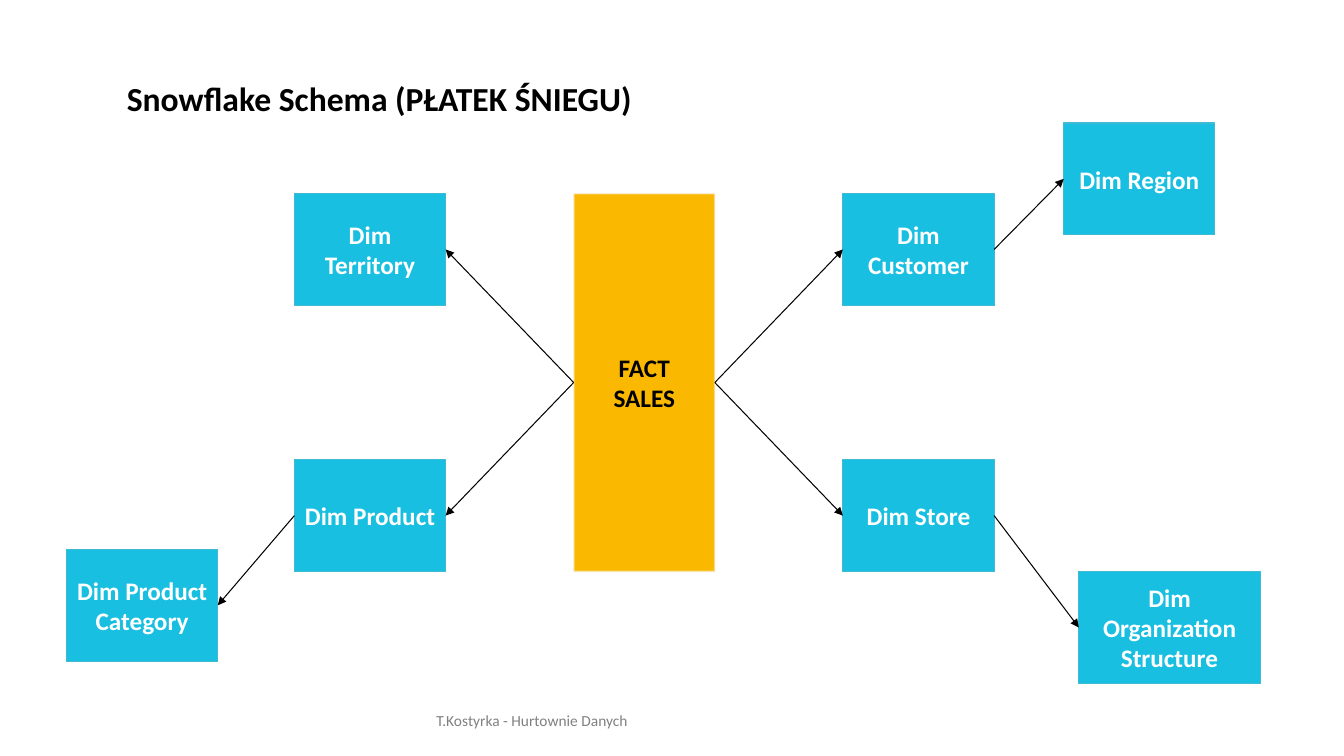
from dataclasses import dataclass

from lxml import etree
from pptx import Presentation, util as u
from pptx.dml import color
from pptx.enum import shapes, text
from pptx.oxml import ns

BLACK = color.RGBColor(0x00, 0x00, 0x00)
WHITE = color.RGBColor(0xFF, 0xFF, 0xFF)
GREY = color.RGBColor(0x80, 0x80, 0x80)
GOLD = color.RGBColor(0xFA, 0xB9, 0x00)
PALE = color.RGBColor(0xF9, 0xF9, 0xF9)
CYAN = color.RGBColor(0x19, 0xBF, 0xE0)
TEAL = color.RGBColor(0x40, 0xBA, 0xD2)

FONT = "Calibri"
CELL = u.Inches(0.1)
LEFT, RIGHT = 1, 3
WEST, MID, EAST = 29.2, 56.9, 83.6
TOP, LOW = 19.2, 45.6
WIDE, TALL = 15, 11.1


@dataclass(frozen=True)
class Box:
    label: str
    col: float
    row: float
    wide: float = WIDE
    tall: float = TALL
    kind: shapes.MSO_SHAPE = shapes.MSO_SHAPE.FLOWCHART_PROCESS
    fill: color.RGBColor = CYAN
    edge: color.RGBColor = TEAL
    width: float = 0.75
    ink: color.RGBColor = WHITE


@dataclass(frozen=True)
class Link:
    start: str
    end: str
    side: int


BOXES = {
    "fact": Box("FACT\nSALES", MID, TOP, 14, 37.5, shapes.MSO_SHAPE.RECTANGLE,
                GOLD, PALE, 1.35, BLACK),
    "client": Box("Dim Customer", EAST, TOP),
    "store": Box("Dim Store", EAST, LOW),
    "land": Box("Dim Territory", WEST, TOP),
    "goods": Box("Dim Product", WEST, LOW),
    "class": Box("Dim Product\nCategory", 6.6, 54.5),
    "region": Box("Dim Region", 105.5, 12.2),
    "staff": Box("Dim Organization Structure", 107, 56.7, 18),
}

LINKS = [
    Link("fact", "client", RIGHT),
    Link("fact", "store", RIGHT),
    Link("fact", "land", LEFT),
    Link("fact", "goods", LEFT),
    Link("client", "region", RIGHT),
    Link("goods", "class", LEFT),
    Link("store", "staff", RIGHT),
]


def grid(*cells: float) -> list[int]:
    return [round(cell * CELL) for cell in cells]


def write(shape, words: str, *, size: float, ink: color.RGBColor,
          bold: bool = False, align=text.PP_ALIGN.LEFT,
          anchor=text.MSO_ANCHOR.MIDDLE, level: int = 0,
          indent: float = 0, grow: bool = False) -> None:
    frame = shape.text_frame
    frame.text = words
    frame.word_wrap = True
    frame.vertical_anchor = anchor
    if grow:
        frame.auto_size = text.MSO_AUTO_SIZE.SHAPE_TO_FIT_TEXT
    for para in frame.paragraphs:
        para.alignment = align
        para.level = level
        for run in para.runs:
            font = run.font
            font.name, font.size, font.bold = FONT, u.Pt(size), bold
            font.color.rgb = ink
    if indent:
        for props in shape.element.iter(ns.qn("a:pPr")):
            props.set("marL", str(grid(indent)[0]))
            props.set("indent", "0")


def draw(slide, box: Box):
    shape = slide.shapes.add_shape(
        box.kind, *grid(box.col, box.row, box.wide, box.tall))
    shape.shadow.inherit = False
    shape.fill.solid()
    shape.fill.fore_color.rgb = box.fill
    shape.line.color.rgb = box.edge
    shape.line.width = u.Pt(box.width)
    write(shape, box.label, size=18, ink=box.ink, bold=True,
          align=text.PP_ALIGN.CENTER)
    return shape


def fade(shape, share: int) -> None:
    tone = shape.element.spPr.find(f"{ns.qn('a:ln')}//{ns.qn('a:srgbClr')}")
    etree.SubElement(tone, ns.qn("a:alpha")).set("val", str(share * 1000))


def join(slide, start, end, side: int) -> None:
    line = slide.shapes.add_connector(
        shapes.MSO_CONNECTOR.STRAIGHT, 0, 0, 0, 0)
    line.begin_connect(start, side)
    line.end_connect(end, LEFT + RIGHT - side)
    line.line.color.rgb = BLACK
    line.line.width = u.Pt(0.75)
    props = line.element.spPr
    tail = etree.SubElement(props.find(ns.qn("a:ln")), ns.qn("a:tailEnd"))
    tail.set("type", "triangle")
    etree.SubElement(props, ns.qn("a:effectLst"))


deck = Presentation()
deck.slide_width, deck.slide_height = u.Inches(13.33), u.Inches(7.5)
slide = deck.slides.add_slide(deck.slide_layouts[6])

title = slide.shapes.add_textbox(*grid(6.6, 7.2, 77.7, 5))
write(title, "Snowflake Schema (PŁATEK ŚNIEGU)", size=24, ink=BLACK, bold=True,
      align=text.PP_ALIGN.JUSTIFY, anchor=text.MSO_ANCHOR.TOP,
      level=1, indent=5, grow=True)
foot = slide.shapes.add_textbox(*grid(42.3, 69.5, 64.6, 4))
write(foot, "T.Kostyrka - Hurtownie Danych", size=11, ink=GREY)

drawn = {name: draw(slide, box) for name, box in BOXES.items()}
fade(drawn["fact"], 50)
for link in LINKS:
    join(slide, drawn[link.start], drawn[link.end], link.side)

deck.save("out.pptx")
